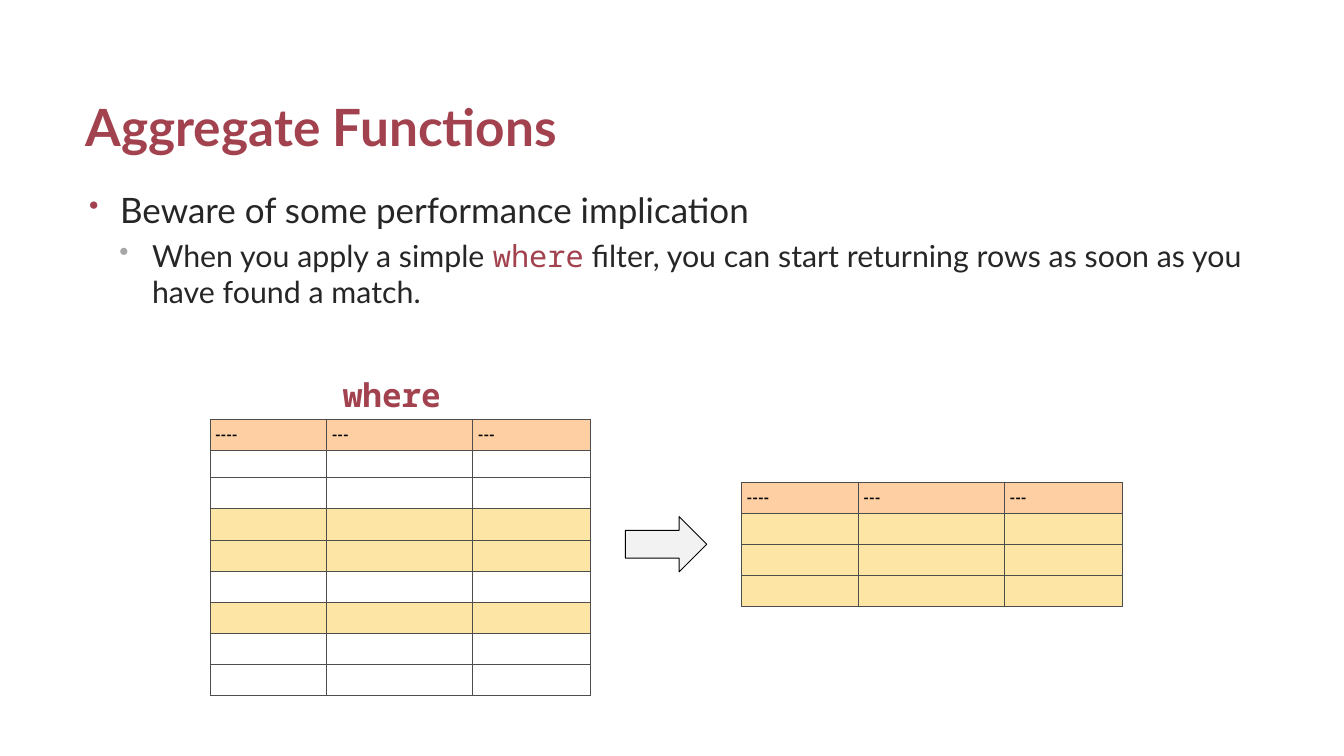
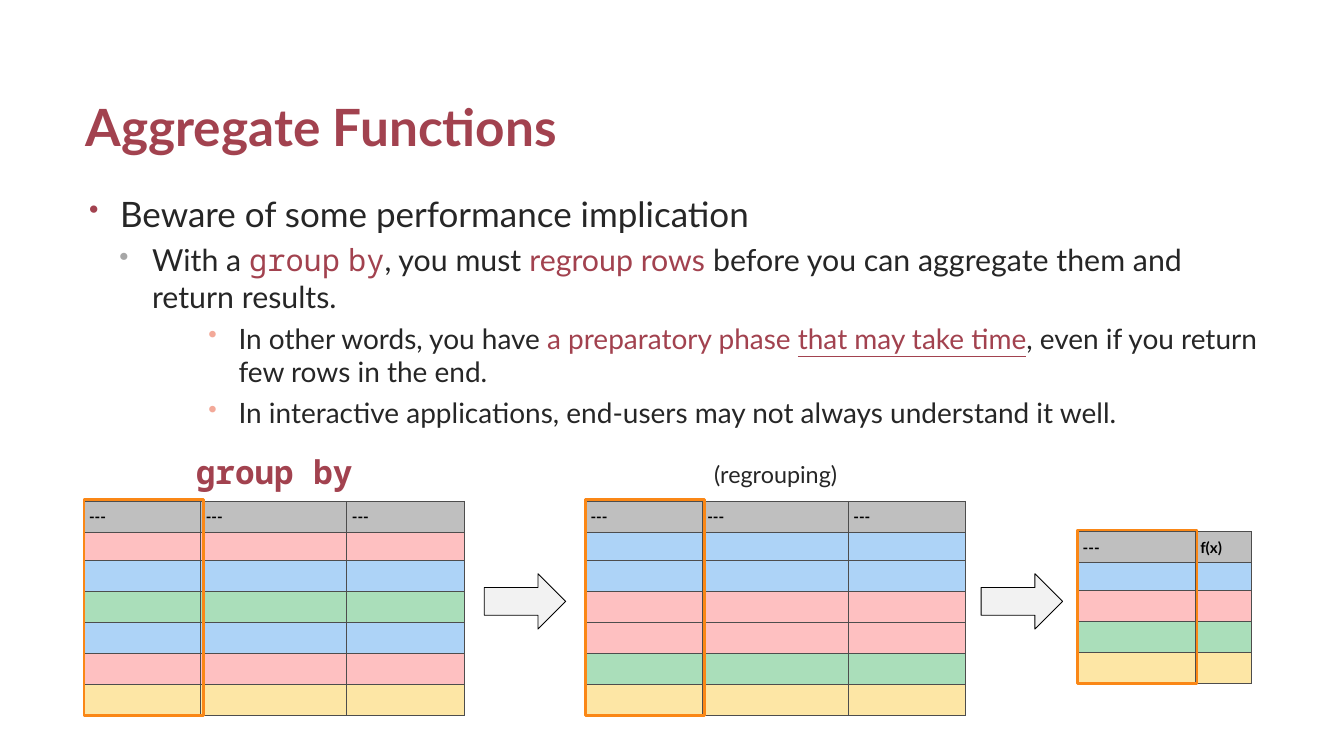
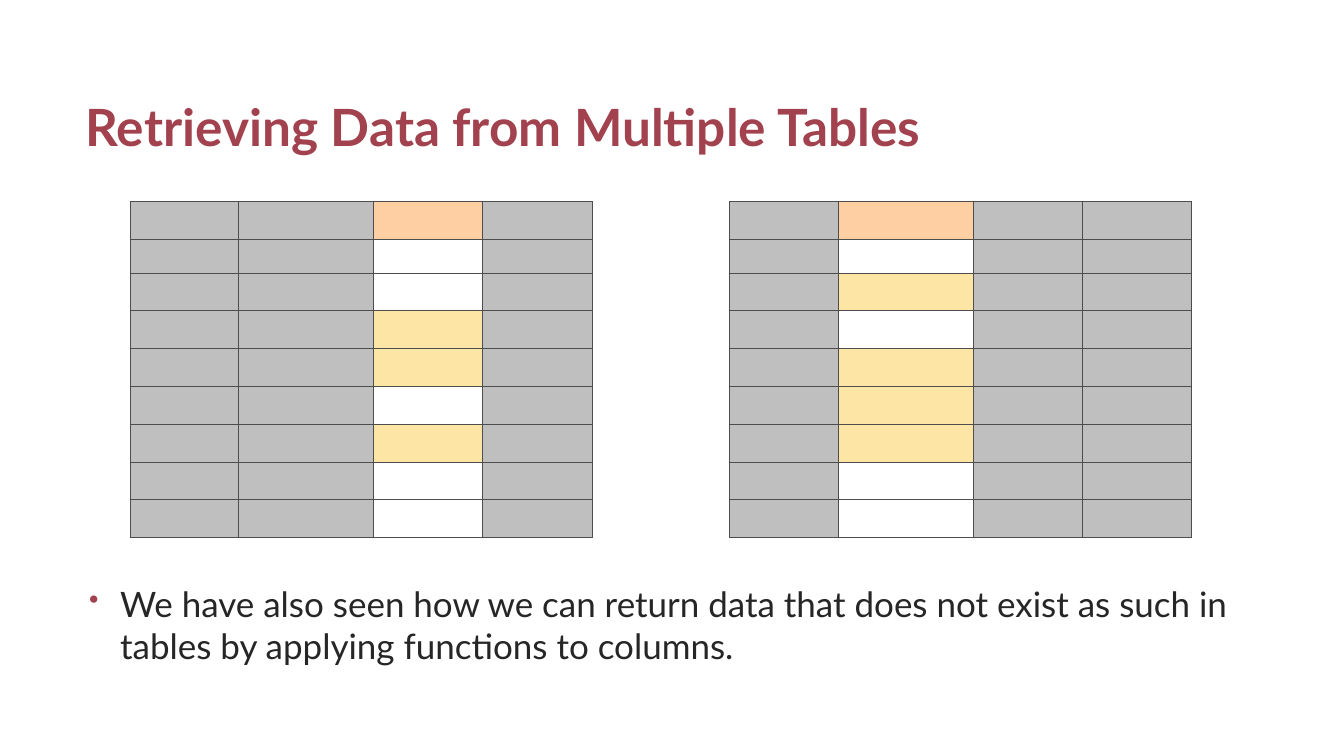
from dataclasses import dataclass

from lxml import etree
from pptx import Presentation
from pptx.dml.color import RGBColor
from pptx.enum.shapes import MSO_SHAPE
from pptx.enum.text import MSO_ANCHOR, MSO_AUTO_SIZE, PP_ALIGN
from pptx.oxml.ns import qn
from pptx.util import Emu, Inches, Pt

ARROW, RECT = MSO_SHAPE.RIGHT_ARROW, MSO_SHAPE.RECTANGLE
CENTER, LEFT = PP_ALIGN.CENTER, PP_ALIGN.LEFT
BOTTOM, MIDDLE = MSO_ANCHOR.BOTTOM, MSO_ANCHOR.MIDDLE
FIT_SHAPE, NO_FIT = MSO_AUTO_SIZE.SHAPE_TO_FIT_TEXT, MSO_AUTO_SIZE.NONE

SLIDE_W, SLIDE_H = Inches(16), Inches(9)
GRID_COLS = 16
TITLE_ONLY = 5


@dataclass(frozen=True)
class Theme:
    sans: str = "Lato"
    mono: str = "Noto Sans Mono"
    accent: str = "A2424F"
    body: str = "262626"
    black: str = "000000"
    border: str = "4D4D4D"
    arrow: str = "F2F2F2"
    highlight: str = "FA8716"
    title_size: float = 44
    code_size: float = 28
    note_size: float = 20
    cell_size: float = 13


THEME = Theme()
FILLS = {"O": "FDCFA2", "W": "FFFFFF", "Y": "FDE6A5", "G": "BFBFBF",
         "B": "ADD3F7", "P": "FEC0C1", "N": "AADEBA"}


@dataclass(frozen=True)
class Level:
    size: float
    margin: float
    hanging: float
    bullet_color: str
    bullet_percent: int


LEVELS = (
    Level(30, 0.37, 0.37, THEME.accent, 80),
    Level(26, 0.75, 0.39, "A6A6A6", 90),
    Level(24, 1.78, 0.36, "F3A999", 90),
)


@dataclass(frozen=True)
class Run:
    text: str
    color: str = THEME.body
    font: str = THEME.sans
    underline: bool = False


@dataclass(frozen=True)
class Bullet:
    level: int
    runs: tuple[Run, ...]


@dataclass(frozen=True)
class Grid:
    """A table; each string in rows holds one FILLS key per cell."""
    left: float
    top: float
    widths: tuple[float, ...]
    rows: tuple[str, ...]
    header: tuple[str, ...] = ()
    row_h: float = 0.37
    second_h: float = 0.33

    @property
    def heights(self) -> list[float]:
        return [self.second_h if i == 1 else self.row_h for i in range(len(self.rows))]

    @property
    def width(self) -> float:
        return sum(self.widths)

    @property
    def height(self) -> float:
        return sum(self.heights)

    @property
    def right(self) -> float:
        return self.left + self.width


def units(n: float) -> Emu:
    """Length of n columns of the square 16 by 9 slide grid."""
    return Emu(round(SLIDE_W * n / GRID_COLS))


def box(left: float, top: float, width: float, height: float) -> tuple[Emu, ...]:
    return units(left), units(top), units(width), units(height)


def rgb(color: str) -> RGBColor:
    return RGBColor.from_string(color)


def add_run(p, text: str, *, size: float, color: str = THEME.body,
            font: str = THEME.sans, bold: bool = False, underline: bool = False) -> None:
    r = p.add_run()
    r.text = text
    r.font.name, r.font.size = font, Pt(size)
    r.font.bold, r.font.underline = bold, underline
    r.font.color.rgb = rgb(color)


def add_title_slide(prs, title: str):
    s = prs.slides.add_slide(prs.slide_layouts[TITLE_ONLY])
    sp = s.shapes.title
    sp.left, sp.top, sp.width, sp.height = box(0.92, 0.36, 14.17, 1.56)
    tf = sp.text_frame
    tf.word_wrap, tf.auto_size, tf.vertical_anchor = True, NO_FIT, BOTTOM
    p = tf.paragraphs[0]
    p.alignment = LEFT
    add_run(p, title, size=THEME.title_size, color=THEME.accent, bold=True)
    return s


def format_bullet(p, level: Level) -> None:
    pPr = p._p.get_or_add_pPr()
    pPr.set("marL", str(units(level.margin)))
    pPr.set("indent", str(-units(level.hanging)))
    color = etree.SubElement(pPr, qn("a:buClr"))
    etree.SubElement(color, qn("a:srgbClr"), val=level.bullet_color)
    etree.SubElement(pPr, qn("a:buSzPct"), val=str(level.bullet_percent * 1000))
    etree.SubElement(pPr, qn("a:buChar"), char="•")


def add_bullets(s, bullets: tuple[Bullet, ...], *, top: float = 2.17,
                width: float = 14.17, height: float = 5.83) -> None:
    tf = s.shapes.add_textbox(*box(0.92, top, width, height)).text_frame
    tf.word_wrap = True
    tf.margin_left = tf.margin_right = units(0.14)
    tf.margin_top = tf.margin_bottom = units(0.07)
    for i, bullet in enumerate(bullets):
        p = tf.add_paragraph() if i else tf.paragraphs[0]
        level = LEVELS[bullet.level]
        p.level = bullet.level
        format_bullet(p, level)
        p.space_before, p.space_after = Pt(4 if i else 0), Pt(2)
        for run in bullet.runs:
            add_run(p, run.text, size=level.size, color=run.color,
                    font=run.font, underline=run.underline)


def add_label(s, text: str, left: float, top: float, width: float, height: float,
              **fmt) -> None:
    tf = s.shapes.add_textbox(*box(left, top, width, height)).text_frame
    tf.word_wrap, tf.auto_size = True, FIT_SHAPE
    p = tf.paragraphs[0]
    p.alignment = CENTER
    add_run(p, text, **fmt)


def add_code_label(s, text: str, left: float, top: float, width: float) -> None:
    add_label(s, text, left, top, width, 0.57, size=THEME.code_size,
              color=THEME.accent, font=THEME.mono, bold=True)


def format_cell(cell, fill: str, text: str) -> None:
    tcPr = cell._tc.get_or_add_tcPr()
    for side in ("lnL", "lnR", "lnT", "lnB"):
        ln = etree.SubElement(tcPr, qn(f"a:{side}"), w=str(Pt(1)))
        solid = etree.SubElement(ln, qn("a:solidFill"))
        etree.SubElement(solid, qn("a:srgbClr"), val=THEME.border)
    cell.fill.solid()
    cell.fill.fore_color.rgb = rgb(fill)
    cell.margin_left = cell.margin_right = units(0.06)
    cell.margin_top = cell.margin_bottom = units(0.03)
    cell.vertical_anchor = MIDDLE
    p = cell.text_frame.paragraphs[0]
    if text:
        add_run(p, text, size=THEME.cell_size, color=THEME.black, bold=True)
    else:
        etree.SubElement(p._p, qn("a:endParaRPr"), sz=str(int(THEME.cell_size * 100)))


def add_grid(s, grid: Grid) -> None:
    table = s.shapes.add_table(len(grid.rows), len(grid.widths),
                               *box(grid.left, grid.top, grid.width, grid.height)).table
    table.first_row = table.horz_banding = False
    for column, width in zip(table.columns, grid.widths):
        column.width = units(width)
    for row, height in zip(table.rows, grid.heights):
        row.height = units(height)
    for i, keys in enumerate(grid.rows):
        for j, key in enumerate(keys):
            text = grid.header[j] if grid.header and i == 0 else ""
            format_cell(table.cell(i, j), FILLS[key], text)


def add_arrow_between(s, before: Grid, after: Grid, middle: float) -> None:
    width, height = 0.97, 0.66
    left = (before.right + after.left - width) / 2
    sp = s.shapes.add_shape(ARROW, *box(left, middle - height / 2, width, height))
    sp.shadow.inherit = False
    sp.fill.solid()
    sp.fill.fore_color.rgb = rgb(THEME.arrow)
    sp.line.color.rgb = rgb(THEME.black)
    sp.line.width = Pt(0.75)


def highlight_first_column(s, grid: Grid) -> None:
    rise = 0.02
    sp = s.shapes.add_shape(
        RECT, *box(grid.left, grid.top - rise, 1.42, grid.height + rise))
    sp.shadow.inherit = False
    sp.fill.background()
    sp.line.color.rgb = rgb(THEME.highlight)
    sp.line.width = Pt(2.25)


def full_rows(keys: str, columns: int = 3) -> tuple[str, ...]:
    return tuple(key * columns for key in keys)


def one_column_rows(keys: str, column: int) -> tuple[str, ...]:
    """Grey rows of four cells with the keys running down one column."""
    return tuple("G" * column + key + "G" * (3 - column) for key in keys)


THREE_COLS = (1.39, 1.74, 1.4)
FOUR_COLS = (1.29, 1.61, 1.3, 1.3)
INTRO = Bullet(0, (Run("Beware of some performance implication"),))


def add_where_slide(prs) -> None:
    s = add_title_slide(prs, "Aggregate Functions")
    add_bullets(s, (INTRO, Bullet(1, (
        Run("When you apply a simple "),
        Run("where", THEME.accent, THEME.mono),
        Run(" filter, you can start returning rows as soon as you have found a match."),
    ))))
    add_code_label(s, "where", 2.3, 4.41, 4.73)
    header = ("----", "---", "---")
    source = Grid(2.5, 4.99, THREE_COLS, full_rows("OWWYYWYWW"), header)
    result = Grid(8.83, 5.74, THREE_COLS, full_rows("OYYY"), header, second_h=0.37)
    for grid in (source, result):
        add_grid(s, grid)
    add_arrow_between(s, source, result, result.top + result.height / 2)


def add_group_by_slide(prs) -> None:
    s = add_title_slide(prs, "Aggregate Functions")
    add_bullets(s, (
        INTRO,
        Bullet(1, (
            Run("With a "),
            Run("group", THEME.accent, THEME.mono),
            Run(" ", THEME.accent),
            Run("by", THEME.accent, THEME.mono),
            Run(", you must "),
            Run("regroup rows ", THEME.accent),
            Run("before you can aggregate them and return results."),
        )),
        Bullet(2, (
            Run("In other words, you have "),
            Run("a preparatory phase ", THEME.accent),
            Run("that may take time", THEME.accent, underline=True),
            Run(", even if you return few rows in the end."),
        )),
        Bullet(2, (Run("In interactive applications, end-users may not always "
                       "understand it well."),)),
    ), top=2.22, width=14.24)
    header = ("---",) * 3
    source = Grid(1, 5.97, THREE_COLS, full_rows("GPBNBPY"), header)
    regrouped = Grid(6.97, 5.97, THREE_COLS, full_rows("GBBPPNY"), header)
    result = Grid(12.83, 6.33, (1.4, 0.67), full_rows("GBPNY", 2), ("---", "f(x)"))
    steps = (source, regrouped, result)
    for grid in steps:
        add_grid(s, grid)
        highlight_first_column(s, grid)
    for before, after in zip(steps, steps[1:]):
        add_arrow_between(s, before, after, 7.16)
    add_code_label(s, "group by", 2.2, 5.33, 2.13)
    add_label(s, "(regrouping)", 8.17, 5.43, 2.13, 0.44, size=THEME.note_size)


def add_multiple_tables_slide(prs) -> None:
    s = add_title_slide(prs, "Retrieving Data from Multiple Tables")
    for left, column, keys in ((1.55, 2, "OWWYYWYWW"), (8.69, 1, "OWYWYYYWW")):
        add_grid(s, Grid(left, 2.4, FOUR_COLS, one_column_rows(keys, column),
                         row_h=0.45, second_h=0.4))
    add_bullets(s, (Bullet(0, (
        Run("We have also seen how we can return data that does not exist as such "
            "in tables by applying functions to columns."),
    )),), top=6.86, height=1.14)


def main() -> None:
    prs = Presentation()
    prs.slide_width, prs.slide_height = SLIDE_W, SLIDE_H
    add_where_slide(prs)
    add_group_by_slide(prs)
    add_multiple_tables_slide(prs)
    prs.save("out.pptx")


if __name__ == "__main__":
    main()
